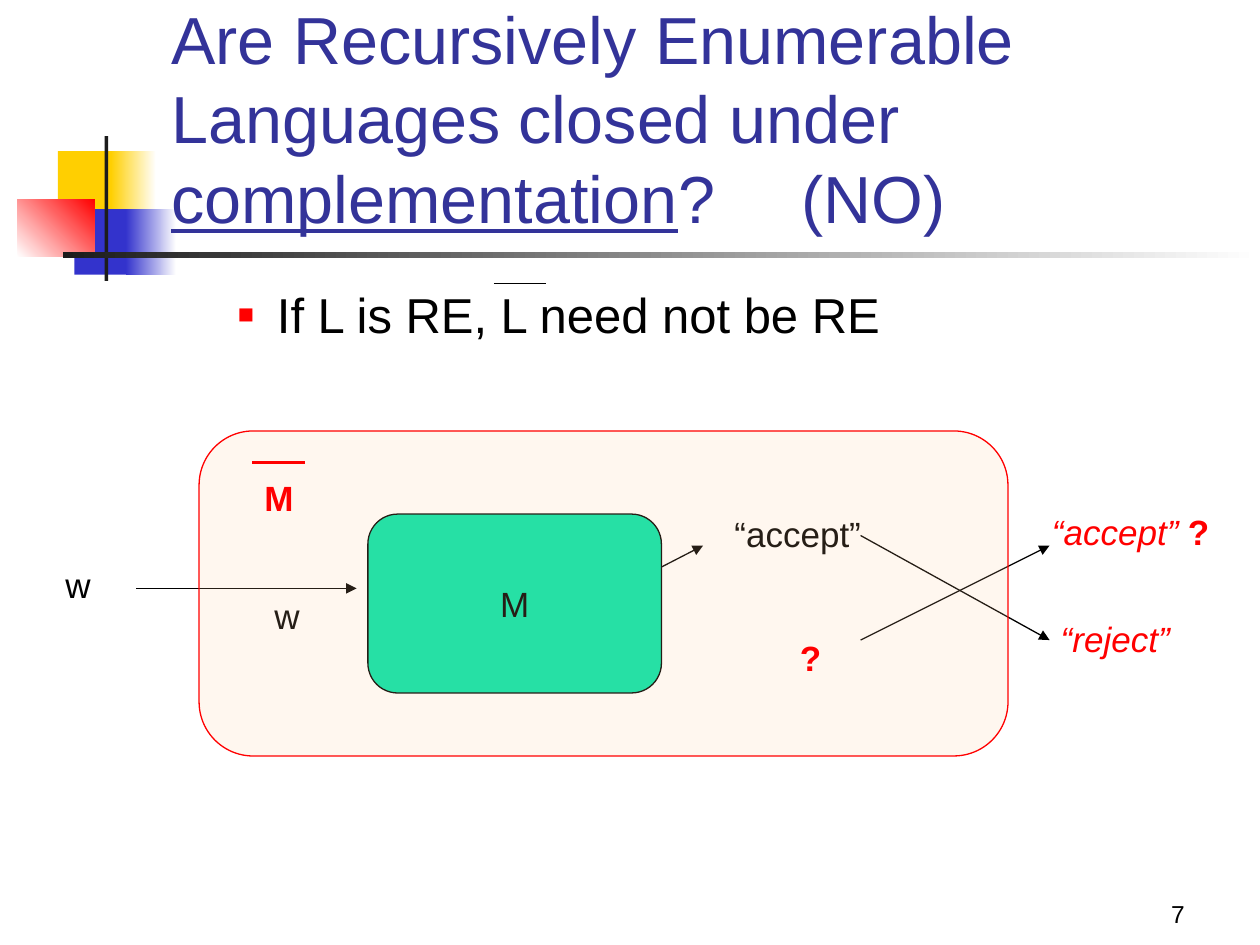
"""Build the slide on closure of recursively enumerable languages under complement."""
from dataclasses import dataclass
from typing import Any, Optional

from lxml.etree import SubElement
from pptx import Presentation
from pptx.dml.color import RGBColor
from pptx.enum.shapes import MSO_CONNECTOR, MSO_SHAPE
from pptx.enum.text import MSO_ANCHOR, MSO_AUTO_SIZE, PP_ALIGN
from pptx.oxml.ns import qn
from pptx.util import Inches, Pt


@dataclass(frozen=True)
class Theme:
    font: str = "Arial"
    black: str = "000000"
    white: str = "FFFFFF"
    red: str = "FF0000"
    gold: str = "FFCF01"
    blue: str = "3333CC"
    navy: str = "333399"
    coal: str = "1C1C1C"
    green: str = "00E4A8"
    peach: str = "FFCC99"
    title: int = 38
    body: int = 28
    label: int = 20
    small: int = 14
    thin: float = 0.75
    thick: float = 1.75


THEME = Theme()


@dataclass(frozen=True)
class Box:
    x: float
    y: float
    w: float
    h: float


@dataclass(frozen=True)
class Panel:
    box: Box
    fill: str
    fade: Optional[str] = None
    angle: int = 0
    edge: Optional[str] = None
    alpha: int = 100


@dataclass(frozen=True)
class Label:
    text: str
    box: Box
    color: str = THEME.black
    bold: bool = False
    slant: bool = False


@dataclass(frozen=True)
class Line:
    start: tuple[float, float]
    end: tuple[float, float]
    color: str = THEME.black
    width: float = THEME.thin
    arrow: bool = True


DECOR = [
    Panel(Box(0.46, 1.2, 0.48, 0.52), THEME.gold),
    Panel(Box(0.88, 1.2, 0.36, 0.52), THEME.gold, THEME.white),
    Panel(Box(0.59, 1.66, 0.46, 0.52), THEME.blue),
    Panel(Box(1, 1.66, 0.4, 0.52), THEME.blue, THEME.white),
    Panel(Box(0.14, 1.58, 0.61, 0.46), THEME.white, THEME.red, 45),
    Panel(Box(0.83, 1.08, 0.03, 1.15), THEME.coal),
    Panel(Box(0.5, 2, 9.5, 0.05), THEME.coal, THEME.white),
]
INNER = Panel(Box(2.92, 4.08, 2.33, 1.42), THEME.green, edge=THEME.black)
OUTER = Panel(Box(1.58, 3.42, 6.42, 2.58), THEME.peach, edge=THEME.red, alpha=15)
FLOW = [
    Line((1.08, 4.67), (2.83, 4.67)),
    Line((5.25, 4.5), (5.58, 4.33)),
    Line((6.83, 4.25), (8.33, 5.08)),
    Line((6.83, 5.08), (8.33, 4.33)),
]
BARS = [
    Line((2, 3.67), (2.42, 3.67), THEME.red, THEME.thick, False),
    Line((3.92, 2.25), (4.33, 2.25), arrow=False),
]
UNDER = [
    Label("w", Box(0.42, 4.42, 0.4, 0.43)),
    Label("“accept”", Box(5.73, 4.02, 1.22, 0.43)),
    Label("“reject”", Box(8.32, 4.85, 1.07, 0.43), THEME.red, slant=True),
    Label("“accept”", Box(8.25, 4, 1.22, 0.43), THEME.red, slant=True),
    Label("w", Box(2.08, 4.67, 0.4, 0.43)),
]
OVER = [
    Label("M", Box(2, 3.73, 0.43, 0.43), THEME.red, bold=True),
    Label("?", Box(6.25, 5, 0.37, 0.44), THEME.red, bold=True),
    Label("?", Box(9.33, 4, 0.37, 0.44), THEME.red, bold=True),
]


def place(box: Box) -> tuple:
    return tuple(Inches(v) for v in (box.x, box.y, box.w, box.h))


def write(shape: Any, *parts: str, size: float, color: str = THEME.black,
          bold: bool = False, slant: bool = False, mark: int = -1,
          align: Any = PP_ALIGN.LEFT, anchor: Any = MSO_ANCHOR.TOP,
          wrap: bool = True, grow: bool = False) -> Any:
    frame = shape.text_frame
    frame.word_wrap = wrap
    frame.vertical_anchor = anchor
    if grow:
        frame.auto_size = MSO_AUTO_SIZE.SHAPE_TO_FIT_TEXT
    para = frame.paragraphs[0]
    para.alignment = align
    for i, part in enumerate(parts):
        run = para.add_run()
        run.text = part
        font = run.font
        font.name, font.size = THEME.font, Pt(size)
        font.bold, font.italic, font.underline = bold, slant, i == mark
        font.color.rgb = RGBColor.from_string(color)
    return para


def draw_panel(slide: Any, panel: Panel, kind: Any = MSO_SHAPE.RECTANGLE) -> Any:
    shape = slide.shapes.add_shape(kind, *place(panel.box))
    shape.shadow.inherit = False
    fill = shape.fill
    if panel.fade:
        fill.gradient()
        fill.gradient_angle = panel.angle
        for stop, color in zip(fill.gradient_stops, (panel.fill, panel.fade)):
            stop.color.rgb = RGBColor.from_string(color)
    else:
        fill.solid()
        fill.fore_color.rgb = RGBColor.from_string(panel.fill)
    if panel.alpha < 100:
        tint = shape._element.spPr.find(qn("a:solidFill"))[0]
        SubElement(tint, qn("a:alpha"), val=str(panel.alpha * 1000))
    if panel.edge:
        shape.line.color.rgb = RGBColor.from_string(panel.edge)
        shape.line.width = Pt(THEME.thin)
    else:
        shape.line.fill.background()
    return shape


def draw_line(slide: Any, line: Line) -> None:
    ends = [Inches(v) for v in (*line.start, *line.end)]
    link = slide.shapes.add_connector(MSO_CONNECTOR.STRAIGHT, *ends)
    link.line.color.rgb = RGBColor.from_string(line.color)
    link.line.width = Pt(line.width)
    if line.arrow:
        SubElement(link.line._get_or_add_ln(), qn("a:tailEnd"), type="triangle")
    SubElement(link._element.spPr, qn("a:effectLst"))


def draw_label(slide: Any, label: Label) -> None:
    write(slide.shapes.add_textbox(*place(label.box)), label.text, size=THEME.label,
          color=label.color, bold=label.bold, slant=label.slant, wrap=False, grow=True)


def add_tab(para: Any, stop: float) -> None:
    tabs = SubElement(para._p.get_or_add_pPr(), qn("a:tabLst"))
    SubElement(tabs, qn("a:tab"), pos=str(Inches(stop)), algn="l")


def add_bullet(para: Any) -> None:
    props = para._p.get_or_add_pPr()
    props.set("marL", str(Inches(0.81)))
    props.set("indent", str(Inches(-0.31)))
    SubElement(SubElement(props, qn("a:spcBef")), qn("a:spcPct"), val="20000")
    SubElement(SubElement(props, qn("a:buClr")), qn("a:srgbClr"), val=THEME.red)
    SubElement(props, qn("a:buSzPct"), val="55000")
    SubElement(props, qn("a:buFont"), typeface=THEME.font)
    SubElement(props, qn("a:buChar"), char="■")


def main() -> None:
    deck = Presentation()
    deck.slide_width, deck.slide_height = Inches(10), Inches(7.5)
    slide = deck.slides.add_slide(deck.slide_layouts[6])
    text = slide.shapes.add_textbox
    for panel in DECOR:
        draw_panel(slide, panel)
    write(text(*place(Box(7.42, 6.92, 2.08, 0.5))), "7", size=THEME.small,
          align=PP_ALIGN.RIGHT, anchor=MSO_ANCHOR.BOTTOM)
    title = write(text(*place(Box(1.26, 0.68, 8.52, 1.25))),
                  "Are Recursively Enumerable Languages closed under ",
                  "complementation", "? \t(NO)", size=THEME.title,
                  color=THEME.navy, mark=1, anchor=MSO_ANCHOR.BOTTOM)
    add_tab(title, 5)
    add_bullet(write(text(*place(Box(1.29, 2.21, 8.5, 4.5))),
                     "If L is RE, L need not be RE", size=THEME.body))
    write(draw_panel(slide, INNER, MSO_SHAPE.ROUNDED_RECTANGLE), "M",
          size=THEME.label, align=PP_ALIGN.CENTER, anchor=MSO_ANCHOR.MIDDLE, wrap=False)
    for line in FLOW:
        draw_line(slide, line)
    for label in UNDER:
        draw_label(slide, label)
    draw_panel(slide, OUTER, MSO_SHAPE.ROUNDED_RECTANGLE)
    for line in BARS:
        draw_line(slide, line)
    for label in OVER:
        draw_label(slide, label)
    deck.save("out.pptx")


if __name__ == "__main__":
    main()
